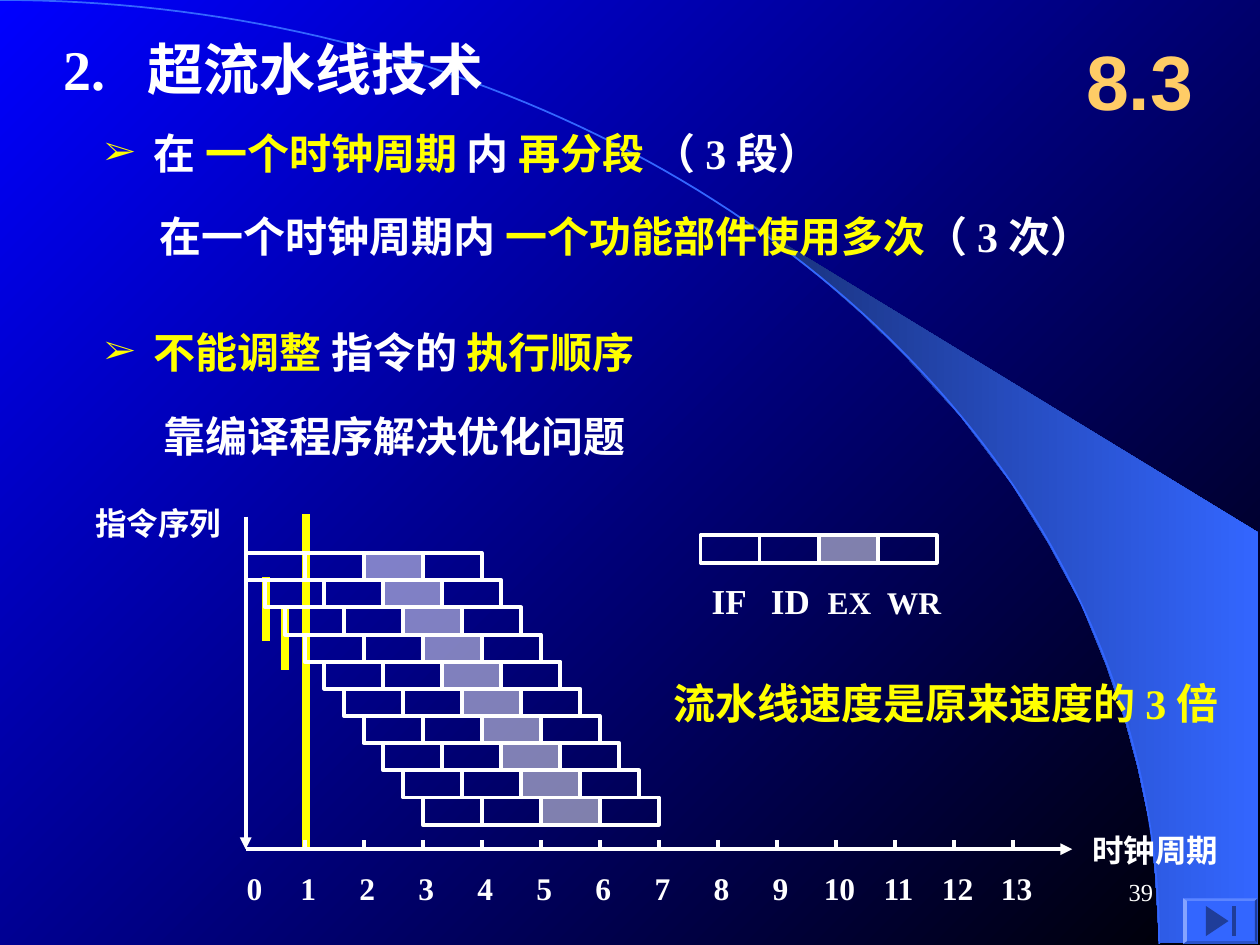
from math import cos, pi, sin
from lxml.etree import SubElement as Sub
from pptx import Presentation
from pptx.dml.color import RGBColor
from pptx.enum.shapes import MSO_CONNECTOR as Conn, MSO_SHAPE as Shape
from pptx.enum.text import MSO_ANCHOR as Anchor, PP_ALIGN as Align
from pptx.oxml.ns import qn
from pptx.util import Inches, Pt

WHITE = RGBColor(0xFF, 0xFF, 0xFF)
YELLOW = RGBColor(0xFF, 0xFF, 0x00)
GOLD = RGBColor(0xFF, 0xCC, 0x66)
BLUE = RGBColor(0x33, 0x66, 0xFF)
NAVY = RGBColor(0x18, 0x2F, 0x76)
PURE = RGBColor(0x00, 0x00, 0xFF)
BLACK = RGBColor(0x00, 0x00, 0x00)
PALE = RGBColor(0x85, 0xA3, 0xFF)
LIGHT = RGBColor(0x5C, 0x85, 0xFF)
DARK = RGBColor(0x1F, 0x3D, 0x99)
DIM = RGBColor(0x29, 0x52, 0xCC)

deck = Presentation()
deck.slide_width, deck.slide_height = Inches(10), Inches(7.5)
slide = deck.slides.add_slide(deck.slide_layouts[6])
shapes = slide.shapes


def add_text(box, runs, tabs=(), bullet=False, pad=0.1, mid=False, align=Align.LEFT, **form):
    """Add one paragraph; each run is its text and what differs from the base format."""
    frame = shapes.add_textbox(*map(Inches, box)).text_frame
    frame.word_wrap = True
    frame.margin_left = frame.margin_right = Inches(pad)
    frame.vertical_anchor = Anchor.MIDDLE if mid else Anchor.TOP
    para = frame.paragraphs[0]
    para.alignment = align
    props = para._p.get_or_add_pPr()
    if bullet:
        props.set("marL", str(Inches(0.39)))
        props.set("indent", str(-Inches(0.39)))
        Sub(Sub(props, qn("a:buClr")), qn("a:srgbClr"), val=str(YELLOW))
        Sub(props, qn("a:buSzPct"), val="80000")
        Sub(props, qn("a:buFont"), typeface="Times New Roman")
        Sub(props, qn("a:buChar"), char="➢")
    if tabs:
        stops = Sub(props, qn("a:tabLst"))
        for pos, kind in tabs:
            Sub(stops, qn("a:tab"), pos=str(Inches(pos)), algn=kind)
    base = {"name": "Times New Roman", "size": 24, "bold": True, "color": WHITE} | form
    for words, diff in runs:
        run = para.add_run()
        run.text = words
        for key, val in (base | diff).items():
            if key == "color":
                run.font.color.rgb = val
            else:
                setattr(run.font, key, Pt(val) if key == "size" else val)


def add_free(dots, close=True):
    """Add an outline through points given in inches."""
    first, *rest = [(Inches(x), Inches(y)) for x, y in dots]
    path = shapes.build_freeform(*first)
    path.add_line_segments(rest, close=close)
    form = path.convert_to_shape()
    form.shadow.inherit = False
    return form


# Background
back = slide.background.fill
back.gradient()
back.gradient_angle = 315
for stop, tint in zip(back.gradient_stops, (PURE, BLACK)):
    stop.color.rgb = tint

# Blue crescent and the long arc
moon = add_free([
    (9.2, 7.48), (9.99, 7.49), (9.99, 4.23), (5.89, 1.73), (6.24, 1.99),
    (6.53, 2.22), (6.85, 2.5), (7.16, 2.8), (7.62, 3.3), (8.03, 3.84),
    (8.32, 4.31), (8.58, 4.79), (8.78, 5.28), (8.93, 5.72), (9.03, 6.09),
    (9.13, 6.56), (9.17, 6.96)])
moon.line.fill.background()
moon.fill.gradient()
moon.fill.gradient_angle = 0
for stop, tint in zip(moon.fill.gradient_stops, (NAVY, BLUE)):
    stop.color.rgb = tint

turns = [pi / 2 * n / 90 for n in range(91)]
arc = add_free([(9.2 * sin(t), 7.49 * (1 - cos(t))) for t in turns], close=False)
arc.fill.background()
arc.line.color.rgb = BLUE
arc.line.width = Pt(1)

# Heading and points
hot = {"color": YELLOW}
add_text((0.5, 0.25, 4.81, 0.58), [("2.\t超流水线技术", {})], [(0.67, "l")],
         pad=0, mid=True, size=32)
add_text((0.83, 0.92, 7.55, 0.58),
         [("在 ", {}), ("一个时钟周期 ", hot), ("内 ", {}), ("再分段", hot), (" （ 3 段）", {})],
         bullet=True, pad=0, mid=True)
add_text((0.83, 2.5, 4.92, 0.58),
         [("不能调整 ", hot), ("指令的 ", {}), ("执行顺序", hot)],
         bullet=True, pad=0, mid=True)
add_text((1.27, 1.58, 8.67, 0.58),
         [("在一个时钟周期内 ", {}), ("一个功能部件使用多次", hot), ("（ 3 次）", {})],
         pad=0, mid=True)
add_text((1.3, 3.17, 4.75, 0.58), [("靠编译程序解决优化问题", {})], pad=0, mid=True)
add_text((5.25, 5.33, 5.08, 0.5), [("流水线速度是原来速度的 3 倍", hot)])
add_text((8.42, 0.17, 1.25, 0.92), [("8.3", {})], mid=True, align=Align.CENTER,
         name="Arial", size=44, color=GOLD)

# Yellow cycle marks, axes and ticks
LEFT, BASE = 1.95, 6.74
STEP = 6.09 / 13
TALL = 1.94 / 9
lines = [(x, top, x, low, YELLOW, 4.5, False) for x, top, low in
         ((2.43, 4.08, 6.73), (2.11, 4.58, 5.09), (2.26, 4.83, 5.32))]
lines += [(LEFT, 4.1, LEFT, BASE, WHITE, 2.25, True),
          (LEFT, BASE, 8.51, BASE, WHITE, 2.25, True)]
lines += [(LEFT + n * STEP, 6.67, LEFT + n * STEP, BASE, WHITE, 2.25, False)
          for n in range(1, 14)]
for *ends, tint, width, arrow in lines:
    line = shapes.add_connector(Conn.STRAIGHT, *map(Inches, ends))
    line.line.color.rgb = tint
    line.line.width = Pt(width)
    if arrow:
        Sub(line.line._get_or_add_ln(), qn("a:tailEnd"), type="triangle")
    Sub(line._element.spPr, qn("a:effectLst"))

# Pipeline rows, each a third of a cycle later, then the key
rows = [(LEFT + n * STEP / 3, 4.39 + n * TALL) for n in range(10)] + [(5.56, 4.25)]
for x, y in rows:
    for col in range(4):
        cell = shapes.add_shape(Shape.RECTANGLE, Inches(x + col * STEP), Inches(y),
                                Inches(STEP), Inches(TALL))
        cell.shadow.inherit = False
        cell.line.color.rgb = WHITE
        cell.line.width = Pt(2.25)
        if col == 2:  # EX stage
            cell.fill.solid()
            cell.fill.fore_color.rgb = WHITE
            tint = cell._element.spPr.find(qn("a:solidFill")).find(qn("a:srgbClr"))
            Sub(tint, qn("a:alpha"), val="50000")
        else:
            cell.fill.background()
add_text((5.55, 4.55, 2.04, 0.44), [("IF\tID\t", {}), ("EX\tWR", {"size": 18})],
         [(0.47, "l"), (0.92, "l"), (1.39, "l")], size=20)

# Axis labels
add_text((1.86, 6.85, 6.6, 0.4), [("\t".join(map(str, range(14))), {})],
         [(n * STEP + 0.02, "ctr") for n in range(1, 14)], size=18)
add_text((8.57, 6.55, 1.43, 0.4), [("时钟周期", {})], size=18)
add_text((0.66, 3.95, 1.43, 0.4), [("指令序列", {})], size=18)

# Bevelled end button
A, B, C, D = (9.39, 7.13), (9.98, 7.13), (9.98, 7.49), (9.39, 7.49)
a, b, c, d = (9.42, 7.15), (9.96, 7.15), (9.96, 7.47), (9.42, 7.47)
parts = [((A, B, C, D), BLUE), ((A, B, b, a), LIGHT), ((B, C, c, b), DARK),
         ((C, D, d, c), DIM), ((D, A, a, d), PALE),
         (((9.75, 7.31), (9.57, 7.43), (9.57, 7.19)), DARK),
         (((9.78, 7.19), (9.78, 7.43), (9.81, 7.43), (9.81, 7.19)), DARK)]
for dots, tint in parts:
    part = add_free(dots)
    part.line.fill.background()
    part.fill.solid()
    part.fill.fore_color.rgb = tint

# Page number
add_text((7.17, 6.83, 2.08, 0.5), [("39", {})], mid=True, align=Align.RIGHT,
         size=14, bold=False)

deck.save("out.pptx")
